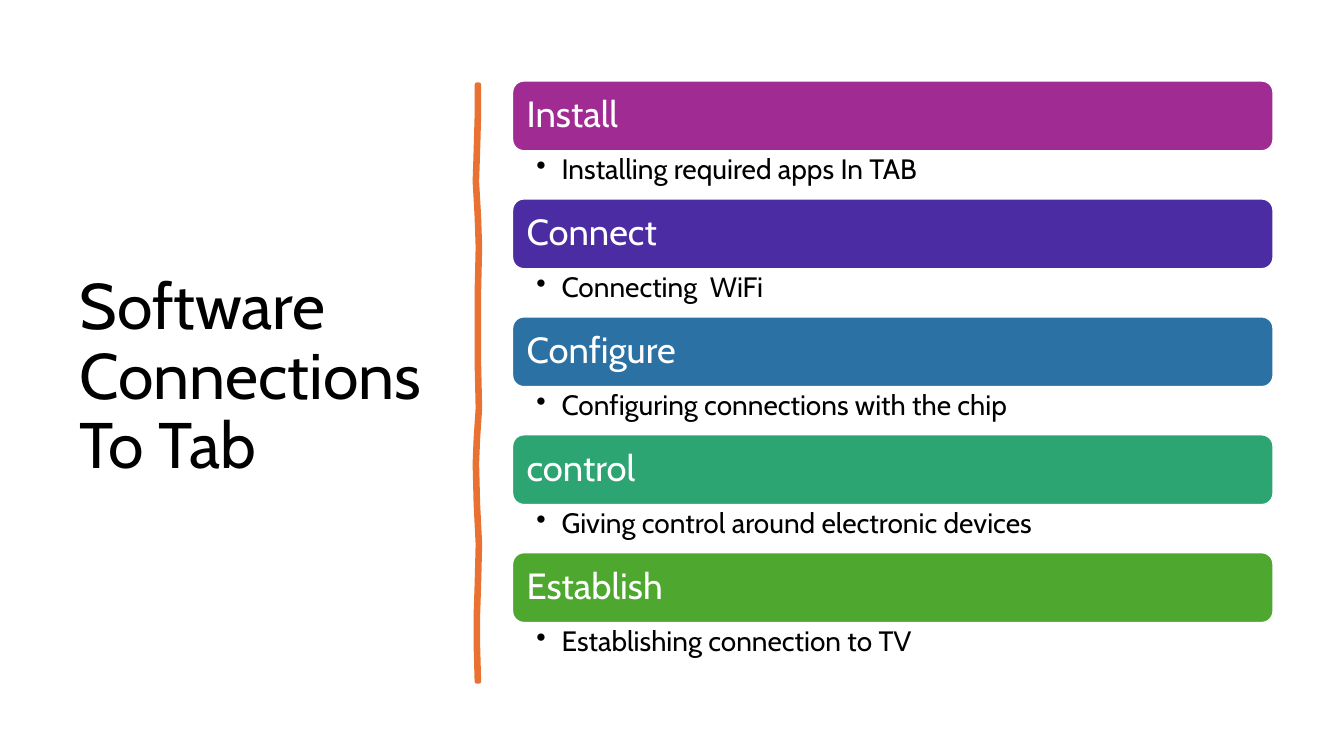
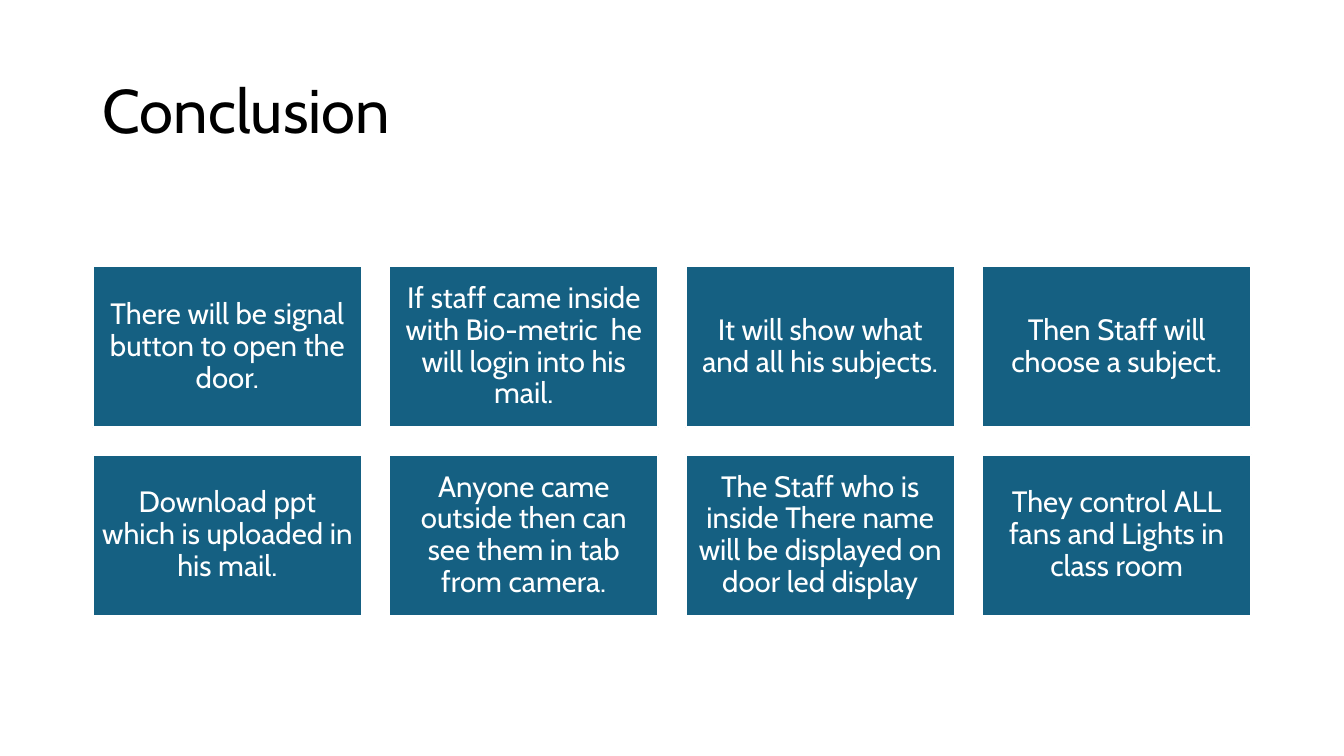
from lxml import etree
from pptx import Presentation
from pptx.dml.color import RGBColor
from pptx.enum.shapes import MSO_SHAPE
from pptx.enum.text import MSO_ANCHOR, MSO_AUTO_SIZE, PP_ALIGN
from pptx.oxml.ns import qn
from pptx.util import Pt

ROUND, RECT = MSO_SHAPE.ROUNDED_RECTANGLE, MSO_SHAPE.RECTANGLE
LEFT, CENTER = PP_ALIGN.LEFT, PP_ALIGN.CENTER
MIDDLE, TOP = MSO_ANCHOR.MIDDLE, MSO_ANCHOR.TOP
NO_FIT = MSO_AUTO_SIZE.NONE

PX = 9144  # 100 px to the inch
FONT = "Cabin"
COLORS = {
    "ink": "000000", "paper": "FFFFFF", "rule": "E97132", "card": "156082",
    "install": "A02B93", "connect": "4B2CA2", "configure": "2C71A4",
    "control": "2DA573", "establish": "4EA72E",
}


def write(shape, words, size, color, align=LEFT, anchor=MIDDLE, inset=(10, 5, 10, 5)):
    """Put one styled paragraph in a shape; inset is left, top, right, bottom."""
    frame = shape.text_frame
    frame.word_wrap = True
    frame.auto_size = NO_FIT
    frame.vertical_anchor = anchor
    (frame.margin_left, frame.margin_top,
     frame.margin_right, frame.margin_bottom) = [n * PX for n in inset]
    para = frame.paragraphs[0]
    para.alignment = align
    para.line_spacing = 0.9
    run = para.add_run()
    run.text = words
    run.font.name = FONT
    run.font.size = Pt(size)
    run.font.color.rgb = RGBColor.from_string(COLORS[color])
    return para


def paint(shape, fill, line, width):
    """Set flat fill and outline without a shadow."""
    shape.shadow.inherit = False
    shape.fill.solid()
    shape.fill.fore_color.rgb = RGBColor.from_string(COLORS[fill])
    shape.line.color.rgb = RGBColor.from_string(COLORS[line])
    shape.line.width = Pt(width)


deck = Presentation()
deck.slide_width, deck.slide_height = 1333 * PX, 750 * PX

# Slides and their titles: words, size, box
heads = [
    ("Software Connections To Tab", 46, (69, 70, 374, 611)),
    ("Conclusion", 44, (92, 40, 1150, 145)),
]
slides = []
for words, size, box in heads:
    slide = deck.slides.add_slide(deck.slide_layouts[5])
    title = slide.shapes.title
    title.left, title.top, title.width, title.height = [n * PX for n in box]
    write(title, words, size, "ink")
    slides.append(slide)
steps, end = slides

# Hand-drawn rule: left edge at each height, two px wide
wave = [(473, 84), (473, 115), (472, 150), (471, 180), (473, 215), (474, 245),
        (473, 290), (473, 360), (474, 405), (472, 435), (471, 460), (472, 500),
        (474, 540), (473, 580), (472, 610), (472, 640), (473, 676)]
edge = [(x + 2, y) for x, y in reversed(wave)]
pen = steps.shapes.build_freeform(*wave[0], scale=PX)
pen.add_line_segments(wave[1:] + edge, close=True)
paint(pen.convert_to_shape(), "rule", "rule", 3.25)

# Steps: a coloured bar with a bullet below
rows = [
    ("Install", "Installing required apps In TAB"),
    ("Connect", "Connecting  WiFi"),
    ("Configure", "Configuring connections with the chip"),
    ("control", "Giving control around electronic devices"),
    ("Establish", "Establishing connection to TV"),
]
left, top, wide, bar_h, note_h = 508, 80, 755, 70, 47
for i, (name, detail) in enumerate(rows):
    y = top + i * (bar_h + note_h)
    bar = steps.shapes.add_shape(ROUND, left * PX, y * PX, wide * PX, bar_h * PX)
    paint(bar, name.lower(), "paper", 1.5)
    write(bar, name, 26, "paper", inset=(11, 11, 11, 11))
    note = steps.shapes.add_textbox(left * PX, (y + bar_h) * PX, wide * PX, note_h * PX)
    para = write(note, detail, 20, "ink", anchor=TOP, inset=(24, 4, 20, 4))
    props = para._p.get_or_add_pPr()
    props.set("marL", str(25 * PX))
    props.set("indent", str(-25 * PX))
    etree.SubElement(props, qn("a:buChar")).set("char", "•")

# Conclusion: a grid of cards, four to a row
cards = [
    "There will be signal button to open the door.",
    "If staff came inside with Bio-metric  he will login into his mail.",
    "It will show what and all his subjects.",
    "Then Staff will choose a subject.",
    "Download ppt which is uploaded in his mail.",
    "Anyone came outside then can see them in tab from camera.",
    "The Staff who is inside There name will be displayed on door led display",
    "They control ALL fans and Lights in class room",
]
left, top, wide, high, gap = 92, 264, 267, 160, 27
for i, words in enumerate(cards):
    row, col = divmod(i, 4)
    x, y = left + col * (wide + gap), top + row * (high + gap)
    card = end.shapes.add_shape(RECT, x * PX, y * PX, wide * PX, high * PX)
    paint(card, "card", "paper", 1.5)
    write(card, words, 21, "paper", CENTER, inset=(9, 9, 9, 9))

deck.save("out.pptx")
